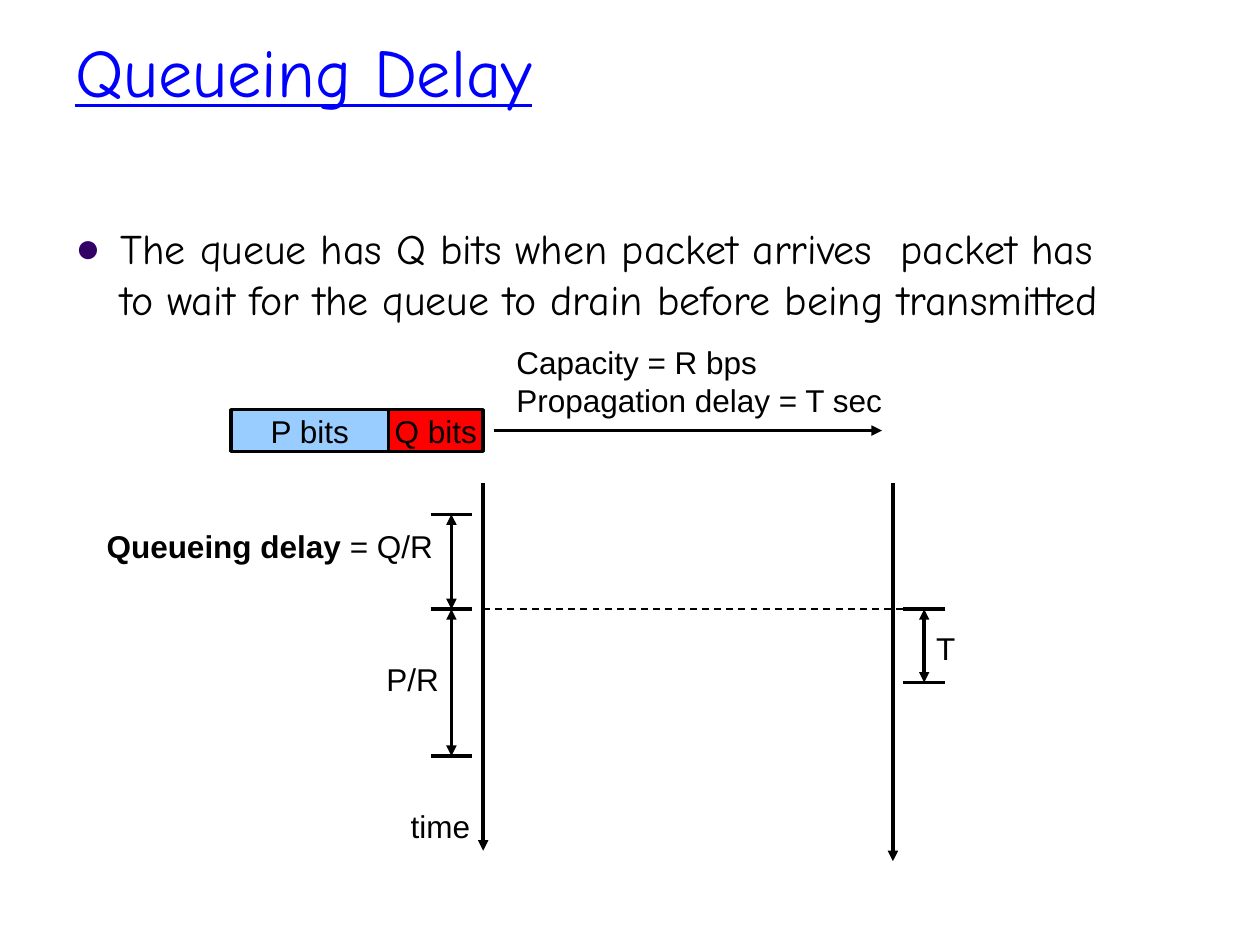
import lxml.etree
import pptx
import pptx.dml.color
import pptx.enum.dml
import pptx.enum.shapes
import pptx.enum.text
import pptx.oxml.ns
import pptx.util

Cm = pptx.util.Cm
Pt = pptx.util.Pt
ALIGN = pptx.enum.text.PP_ALIGN
ANCHOR = pptx.enum.text.MSO_ANCHOR

THEME = {
    "title": {"font": {"name": "Comic Neue", "size": Pt(39), "underline": True}, "color": "0000FF"},
    "body": {"font": {"name": "Comic Neue", "size": Pt(24)}, "color": "000000"},
    "label": {"font": {"name": "Arial", "size": Pt(18)}, "color": "000000"},
    "bullet": "330066",
    "line": "000000",
    "packet": "99CCFF",
    "queue": "FF0000",
    "thick": Pt(2),
    "thin": Pt(1),
}

TITLE = "Queueing Delay"
BODY = ("The queue has Q bits when packet arrives  packet has to wait "
        "for the queue to drain before being transmitted")
TITLE_BOX = (1.27, 0.33, 22.86, 3.25)
BODY_BOX = (1.27, 4.24, 21.39, 2.54)

SENDER_X, RECEIVER_X = 9.74, 18
TIMELINE_TOP = 9.74
QUEUE_START, QUEUE_END, PACKET_END, ARRIVAL = 10.37, 12.28, 15.24, 13.76
TICK_WIDTH = 0.84
SENDER_TICK, RECEIVER_TICK = 8.68, 18.21
BUFFER_LEFT, BUFFER_TOP, BUFFER_HEIGHT = 4.66, 8.26, 0.84
LINK_START, LINK_END = 9.95, 17.78

BUFFER = [("P bits", 3.17, "packet"), ("Q bits", 1.91, "queue")]
TIMELINES = [(SENDER_X, 17.15), (RECEIVER_X, 17.36)]
TICKS = {
    SENDER_TICK: [QUEUE_START, QUEUE_END, PACKET_END],
    RECEIVER_TICK: [QUEUE_END, ARRIVAL],
}
LABELS = [
    ((8.03, 16.13, 1.7, 1.02), [[("time", False)]]),
    ((7.54, 13.18, 1.57, 1.02), [[("P/R", False)]]),
    ((18.62, 12.55, 0.89, 1.02), [[("T", False)]]),
    ((1.9, 10.49, 7.09, 1.02), [[("Queueing delay", True), (" = Q/R", False)]]),
    ((10.16, 6.78, 7.9, 1.78), [[("Capacity = R bps", False)],
                                [("Propagation delay = T sec", False)]]),
]


def rgb(value):
    return pptx.dml.color.RGBColor.from_string(value)


def apply(target, formats):
    for name, value in formats.items():
        setattr(target, name, value)


def style_font(font, style):
    apply(font, THEME[style]["font"])
    font.color.rgb = rgb(THEME[style]["color"])


def frame_format(top_inset, wrap, anchor):
    return {
        "auto_size": pptx.enum.text.MSO_AUTO_SIZE.NONE,
        "word_wrap": wrap,
        "vertical_anchor": anchor,
        "margin_left": Cm(0.25),
        "margin_right": Cm(0.25),
        "margin_top": Cm(top_inset),
        "margin_bottom": Cm(0.13),
    }


def add_element(parent, tag, **attributes):
    return lxml.etree.SubElement(parent, pptx.oxml.ns.qn(tag), attributes)


def fill_placeholder(placeholder, box, text, style):
    apply(placeholder, dict(zip(("left", "top", "width", "height"), map(Cm, box))))
    apply(placeholder.text_frame, frame_format(0.25, True, ANCHOR.TOP))
    paragraph = placeholder.text_frame.paragraphs[0]
    apply(paragraph, {"alignment": ALIGN.LEFT, "space_before": Pt(0)})
    run = paragraph.add_run()
    run.text = text
    style_font(run.font, style)
    return paragraph


def add_bullet(paragraph):
    properties = paragraph._p.get_or_add_pPr()
    indent = Cm(0.91)
    apply_indent = {"marL": str(indent), "indent": str(-indent)}
    for name, value in apply_indent.items():
        properties.set(name, value)
    color = add_element(properties, "a:buClr")
    add_element(color, "a:srgbClr", val=THEME["bullet"])
    add_element(properties, "a:buFont", typeface="Arial")
    add_element(properties, "a:buChar", char="●")


def add_line(slide, start, end, width="thick", arrows=(), dash=None):
    connector = slide.shapes.add_connector(
        pptx.enum.shapes.MSO_CONNECTOR.STRAIGHT, *map(Cm, start + end))
    connector.line.color.rgb = rgb(THEME["line"])
    apply(connector.line, {"width": THEME[width], "dash_style": dash})
    outline = connector.line._get_or_add_ln()
    for arrow in arrows:
        add_element(outline, arrow, type="triangle")
    add_element(connector._element.spPr, "a:effectLst")


def add_buffer(slide):
    left = BUFFER_LEFT
    for text, width, fill in BUFFER:
        block = slide.shapes.add_shape(
            pptx.enum.shapes.MSO_SHAPE.RECTANGLE,
            *map(Cm, (left, BUFFER_TOP, width, BUFFER_HEIGHT)))
        block.shadow.inherit = False
        block.fill.solid()
        block.fill.fore_color.rgb = rgb(THEME[fill])
        block.line.color.rgb = rgb(THEME["line"])
        block.line.width = THEME["thick"]
        apply(block.text_frame, frame_format(0.13, False, ANCHOR.MIDDLE))
        paragraph = block.text_frame.paragraphs[0]
        paragraph.alignment = ALIGN.CENTER
        run = paragraph.add_run()
        run.text = text
        style_font(run.font, "label")
        left += width


def add_label(slide, box, lines):
    frame = slide.shapes.add_textbox(*map(Cm, box)).text_frame
    apply(frame, frame_format(0.13, False, ANCHOR.TOP))
    for index, parts in enumerate(lines):
        paragraph = frame.add_paragraph() if index else frame.paragraphs[0]
        for text, bold in parts:
            run = paragraph.add_run()
            run.text = text
            style_font(run.font, "label")
            run.font.bold = bold


def add_timing(slide):
    link_y = BUFFER_TOP + BUFFER_HEIGHT / 2
    add_line(slide, (LINK_START, link_y), (LINK_END, link_y), arrows=["a:tailEnd"])
    for x, bottom in TIMELINES:
        add_line(slide, (x, TIMELINE_TOP), (x, bottom), arrows=["a:tailEnd"])
    add_line(slide, (SENDER_X, QUEUE_END), (RECEIVER_TICK, QUEUE_END), "thin",
             dash=pptx.enum.dml.MSO_LINE.DASH)
    for left, moments in TICKS.items():
        middle = left + TICK_WIDTH / 2
        for y in moments:
            add_line(slide, (left, y), (left + TICK_WIDTH, y))
        for start, end in zip(moments, moments[1:]):
            add_line(slide, (middle, start), (middle, end),
                     arrows=["a:headEnd", "a:tailEnd"])


def main():
    deck = pptx.Presentation()
    apply(deck, {"slide_width": Cm(25.4), "slide_height": Cm(19.05)})
    slide = deck.slides.add_slide(deck.slide_layouts[1])
    fill_placeholder(slide.shapes.title, TITLE_BOX, TITLE, "title")
    add_bullet(fill_placeholder(slide.placeholders[1], BODY_BOX, BODY, "body"))
    add_buffer(slide)
    add_timing(slide)
    for box, lines in LABELS:
        add_label(slide, box, lines)
    deck.save("out.pptx")


if __name__ == "__main__":
    main()
